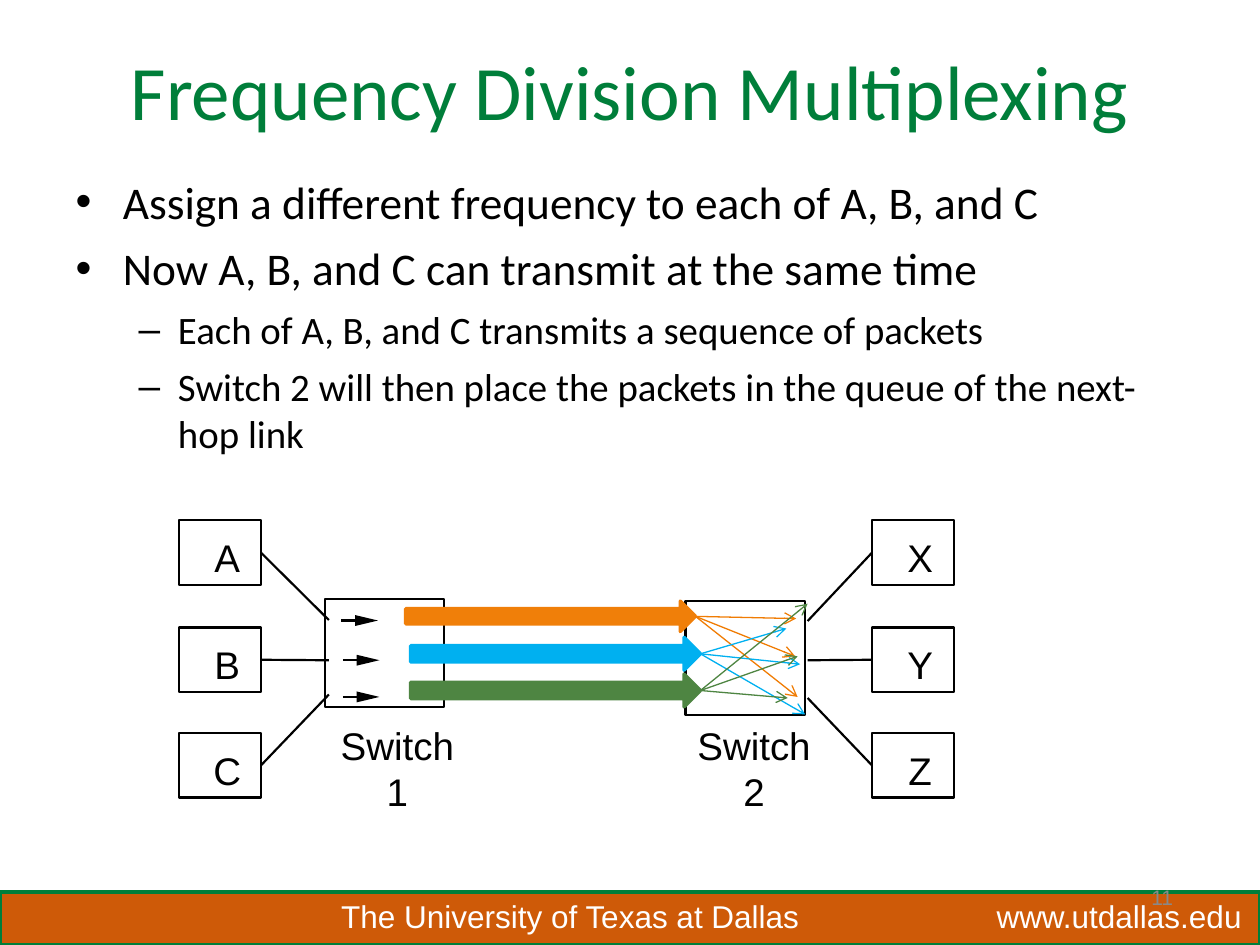
from dataclasses import dataclass

from lxml.etree import SubElement
from pptx import Presentation
from pptx.dml.color import RGBColor
from pptx.enum.shapes import MSO_CONNECTOR, MSO_SHAPE
from pptx.enum.text import MSO_ANCHOR, MSO_AUTO_SIZE, PP_ALIGN
from pptx.oxml.ns import qn
from pptx.util import Cm, Pt

BLACK = RGBColor(0x00, 0x00, 0x00)
WHITE = RGBColor(0xFF, 0xFF, 0xFF)
GRAY = RGBColor(0x89, 0x89, 0x89)
TITLE_GREEN = RGBColor(0x00, 0x7E, 0x3A)
FOOTER_ORANGE = RGBColor(0xCE, 0x5A, 0x08)
ORANGE = RGBColor(0xF0, 0x7F, 0x09)
RAY_ORANGE = RGBColor(0xF0, 0x7C, 0x03)
BLUE = RGBColor(0x00, 0xB0, 0xF0)
GREEN = RGBColor(0x4E, 0x85, 0x42)

Point = tuple[float, float]
NODE_WIDTH, NODE_HEIGHT = 1.65, 1.3
NODE_TOPS = (10.49, 12.65, 14.78)
CHANNEL_WIDTH = 5.84


@dataclass(frozen=True)
class Host_Column:
    names: str
    left: float
    side: int
    link_ends: tuple[Point, ...]


@dataclass(frozen=True)
class Switch:
    name: str
    left: float
    top: float
    height: float
    label_left: float


@dataclass(frozen=True)
class Channel:
    left: float
    top: float
    height: float
    color: RGBColor
    ray_color: RGBColor
    targets: tuple[Point, ...]


HOST_COLUMNS = (
    Host_Column("ABC", 3.61, 3, ((6.63, 12.5), (6.63, 13.31), (6.63, 14))),
    Host_Column("XYZ", 17.58, 1, ((16.28, 12.52), (16.28, 13.31), (16.28, 14.07))),
)
SWITCHES = (
    Switch("Switch 1", 6.55, 12.07, 2.18, 6.55),
    Switch("Switch 2", 13.82, 12.12, 2.29, 13.74),
)
CHANNELS = (
    Channel(8.18, 12.12, 0.61, ORANGE, RAY_ORANGE,
            ((16.05, 12.47), (16.03, 13.23), (16.08, 14.05))),
    Channel(8.28, 12.85, 0.66, BLUE, BLUE,
            ((15.85, 12.67), (16.23, 14.4), (16.13, 13.39))),
    Channel(8.28, 13.59, 0.66, GREEN, GREEN,
            ((16.28, 12.17), (16.08, 13.23), (15.88, 14.07))),
)
PACKETS = ((6.88, 12.51), (6.91, 13.31), (6.91, 14.05))
BULLETS = (
    (0, "Assign a different frequency to each of A, B, and C"),
    (0, "Now A, B, and C can transmit at the same time"),
    (1, "Each of A, B, and C transmits a sequence of packets"),
    (1, "Switch 2 will then place the packets in the queue of the next-hop link"),
)


def place(shape, left: float, top: float, width: float, height: float) -> None:
    shape.left, shape.top = Cm(left), Cm(top)
    shape.width, shape.height = Cm(width), Cm(height)


def add_run(paragraph, text: str, size: float, color: RGBColor, font_name: str) -> None:
    run = paragraph.add_run()
    run.text = text
    run.font.size = Pt(size)
    run.font.name = font_name
    run.font.color.rgb = color


def add_text(slide, text: str, left: float, top: float, width: float, height: float,
             size: float, color: RGBColor, alignment=PP_ALIGN.CENTER, inset: bool = False):
    shape = slide.shapes.add_textbox(Cm(left), Cm(top), Cm(width), Cm(height))
    frame = shape.text_frame
    frame.word_wrap = False
    if not inset:
        frame.margin_left = frame.margin_right = 0
        frame.margin_top = frame.margin_bottom = 0
    paragraph = frame.paragraphs[0]
    paragraph.alignment = alignment
    add_run(paragraph, text, size, color, "Arial")
    return shape


def add_box(slide, kind, left: float, top: float, width: float, height: float,
            line_color: RGBColor, line_width: float, fill_color: RGBColor | None = None):
    shape = slide.shapes.add_shape(kind, Cm(left), Cm(top), Cm(width), Cm(height))
    shape.shadow.inherit = False
    if fill_color is None:
        shape.fill.background()
    else:
        shape.fill.solid()
        shape.fill.fore_color.rgb = fill_color
    shape.line.color.rgb = line_color
    shape.line.width = Pt(line_width)
    return shape


def add_line(slide, start: Point, end: Point, color: RGBColor, width: float,
             arrow: bool = False):
    connector = slide.shapes.add_connector(
        MSO_CONNECTOR.STRAIGHT, Cm(start[0]), Cm(start[1]), Cm(end[0]), Cm(end[1]))
    connector.line.color.rgb = color
    connector.line.width = Pt(width)
    if arrow:
        SubElement(connector.line._get_or_add_ln(), qn("a:tailEnd"), type="arrow")
    SubElement(connector._element.spPr, qn("a:effectLst"))
    return connector


def add_title_and_body(slide) -> None:
    title, body = slide.shapes.title, slide.placeholders[1]
    place(title, 1.27, 0.76, 22.86, 1.98)
    place(body, 1.27, 3.38, 22.86, 6.15)
    for placeholder in (title, body):
        placeholder.text_frame.auto_size = MSO_AUTO_SIZE.NONE
        placeholder.text_frame.vertical_anchor = MSO_ANCHOR.TOP
    add_run(title.text_frame.paragraphs[0], "Frequency Division Multiplexing",
            44, TITLE_GREEN, "Calibri")
    for index, (level, text) in enumerate(BULLETS):
        frame = body.text_frame
        paragraph = frame.add_paragraph() if index else frame.paragraphs[0]
        paragraph.level = level
        paragraph.space_before = Pt((6 if level else 7) if index else 0)
        add_run(paragraph, text, 22.2 if level else 25.9, BLACK, "Calibri")


def add_footer(slide) -> None:
    add_box(slide, MSO_SHAPE.RECTANGLE, 0, 17.98, 25.4, 1.07, TITLE_GREEN, 2, FOOTER_ORANGE)
    add_text(slide, "The University of Texas at Dallas", 6.63, 17.96, 9.83, 1.02,
             18, WHITE, PP_ALIGN.LEFT, True)
    add_text(slide, "www.utdallas.edu", 19.84, 17.96, 5.49, 1.02,
             18, WHITE, PP_ALIGN.LEFT, True)
    number = add_text(slide, "11", 17.98, 17.58, 5.92, 1.02, 12, GRAY, PP_ALIGN.RIGHT, True)
    number.text_frame.word_wrap = True
    number.text_frame.vertical_anchor = MSO_ANCHOR.MIDDLE


def add_hosts(slide, column: Host_Column) -> None:
    for name, top, link_end in zip(column.names, NODE_TOPS, column.link_ends):
        node = add_box(slide, MSO_SHAPE.RECTANGLE, column.left, top,
                       NODE_WIDTH, NODE_HEIGHT, BLACK, 1.25)
        add_text(slide, name, column.left + 0.69, top + 0.27, 0.56, 0.94, 22, BLACK)
        link = add_line(slide, (column.left, top), link_end, BLACK, 1.25)
        link.begin_connect(node, column.side)


def add_switch(slide, switch: Switch) -> None:
    add_box(slide, MSO_SHAPE.RECTANGLE, switch.left, switch.top, 2.41, switch.height,
            BLACK, 1.25)
    add_text(slide, switch.name, switch.label_left, 14.55, 2.92, 0.94, 22, BLACK)


def add_packet(slide, left: float, middle: float) -> None:
    add_line(slide, (left, middle), (left + 0.36, middle), BLACK, 1.25)
    base, tip = Cm(left + 0.28), Cm(left + 0.74)
    builder = slide.shapes.build_freeform(base, Cm(middle - 0.11))
    builder.add_line_segments([(tip, Cm(middle)), (base, Cm(middle + 0.11))], close=True)
    head = builder.convert_to_shape()
    head.shadow.inherit = False
    head.fill.solid()
    head.fill.fore_color.rgb = BLACK
    head.line.fill.background()


def add_channel(slide, channel: Channel) -> None:
    add_box(slide, MSO_SHAPE.RIGHT_ARROW, channel.left, channel.top,
            CHANNEL_WIDTH, channel.height, channel.color, 2, channel.color)
    tip = (channel.left + CHANNEL_WIDTH, channel.top + channel.height / 2)
    for target in channel.targets:
        add_line(slide, tip, target, channel.ray_color, 0.75, arrow=True)


def main() -> None:
    presentation = Presentation()
    presentation.slide_width, presentation.slide_height = Cm(25.4), Cm(19.05)
    slide = presentation.slides.add_slide(presentation.slide_layouts[1])
    add_title_and_body(slide)
    add_footer(slide)
    for column in HOST_COLUMNS:
        add_hosts(slide, column)
    for left, middle in PACKETS:
        add_packet(slide, left, middle)
    for switch in SWITCHES:
        add_switch(slide, switch)
    for channel in CHANNELS:
        add_channel(slide, channel)
    presentation.save("out.pptx")


if __name__ == "__main__":
    main()
